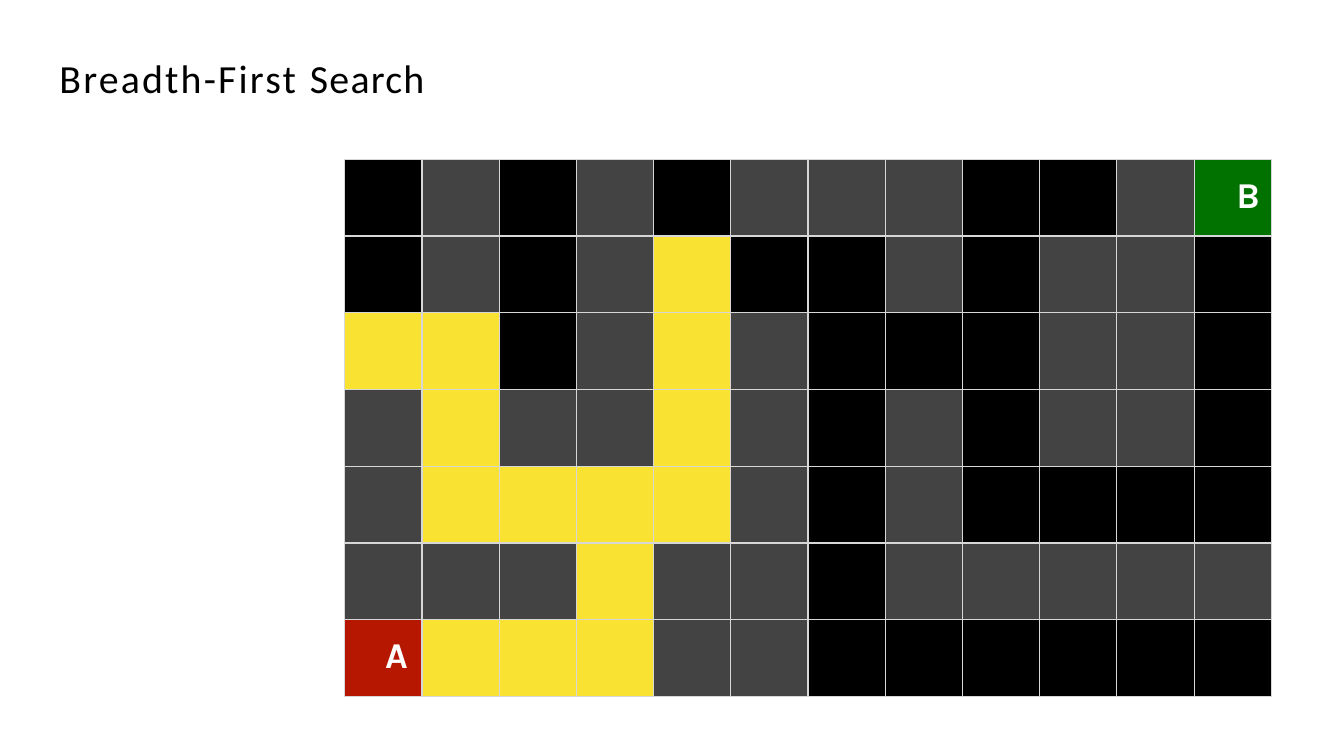
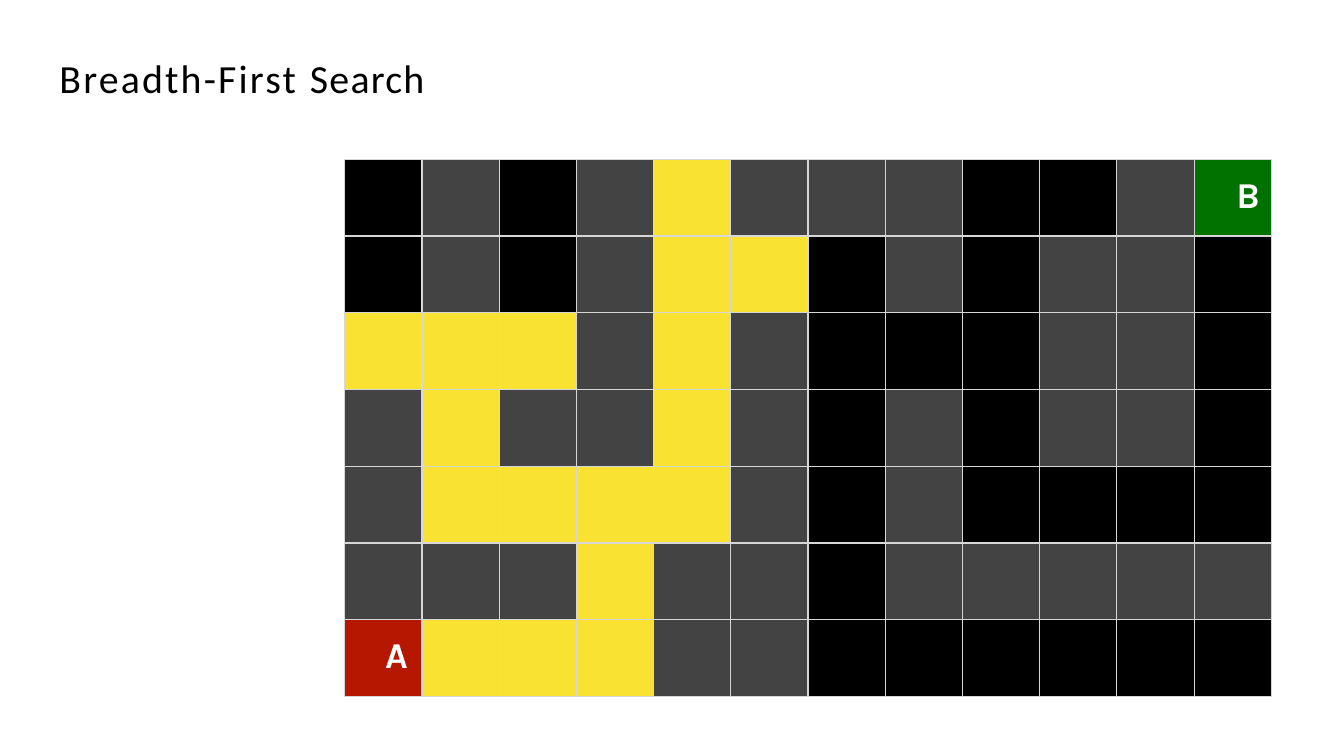
from collections import deque
from dataclasses import dataclass
from typing import Iterator

from pptx import Presentation
from pptx.dml.color import RGBColor
from pptx.enum.text import MSO_ANCHOR, MSO_AUTO_SIZE, PP_ALIGN
from pptx.oxml import parse_xml
from pptx.oxml.ns import nsdecls
from pptx.util import Inches, Pt

BLACK = RGBColor(0x00, 0x00, 0x00)
WHITE = RGBColor(0xFF, 0xFF, 0xFF)
WALL = RGBColor(0x43, 0x43, 0x43)
EXPLORED = RGBColor(0xFA, 0xE2, 0x32)
START = RGBColor(0xB5, 0x17, 0x00)
GOAL = RGBColor(0x01, 0x71, 0x00)
GRID_LINE = RGBColor(0xD6, 0xD7, 0xD6)

# '#' is a wall, '.' is an open square
MAZE = [
    ".#.#.###..#B",
    ".#.#...#.##.",
    "...#.#...##.",
    "#.##.#.#.##.",
    "#....#.#....",
    "###.##.#####",
    "A...##......",
]
TITLE_RUNS = [("Breadth-First ", 160), ("Search", 90)]
EXPLORED_COUNTS = [15, 18]

Square = tuple[int, int]


@dataclass(frozen=True)
class Endpoint:
    fill: RGBColor
    indent: float
    top: float


ENDPOINTS = {"A": Endpoint(START, 0.4, 0.15), "B": Endpoint(GOAL, 0.42, 0.16)}


def neighbours(square: Square) -> Iterator[Square]:
    """Yield the open squares to the left, right, above and below."""
    row, col = square
    for r, c in ((row, col - 1), (row, col + 1), (row - 1, col), (row + 1, col)):
        if 0 <= r < len(MAZE) and 0 <= c < len(MAZE[0]) and MAZE[r][c] != "#":
            yield r, c


def breadth_first(start: Square) -> list[Square]:
    """List the squares in the order in which the search reaches them."""
    order, queue = [start], deque([start])
    while queue:
        for square in neighbours(queue.popleft()):
            if square not in order:
                order.append(square)
                queue.append(square)
    return order


def add_title(slide) -> None:
    sp = slide.shapes.title
    sp.left, sp.top = Inches(0.58), Inches(0.52)
    sp.width, sp.height = Inches(4.05), Inches(0.49)
    tf = sp.text_frame
    tf.word_wrap = True
    tf.auto_size = MSO_AUTO_SIZE.SHAPE_TO_FIT_TEXT
    tf.vertical_anchor = MSO_ANCHOR.MIDDLE
    tf.margin_left = tf.margin_top = Inches(0.01)
    tf.margin_right = tf.margin_bottom = 0
    p = tf.paragraphs[0]
    p.alignment = PP_ALIGN.LEFT
    for text, spacing in TITLE_RUNS:
        r = p.add_run()
        r.text = text
        r.font.name, r.font.size = "Calibri", Pt(28.5)
        r.font.color.rgb = BLACK
        r.font._element.set("spc", str(spacing))


def add_borders(cell) -> None:
    tc_pr = cell._tc.get_or_add_tcPr()
    for side in "LRTB":
        tc_pr.append(parse_xml(
            f'<a:ln{side} {nsdecls("a")} w="{Pt(1)}"><a:solidFill>'
            f'<a:srgbClr val="{GRID_LINE}"/></a:solidFill></a:ln{side}>'))


def label_endpoint(cell, mark: str) -> None:
    cell.margin_left = Inches(ENDPOINTS[mark].indent)
    cell.margin_top = Inches(ENDPOINTS[mark].top)
    cell.margin_right = cell.margin_bottom = 0
    p = cell.text_frame.paragraphs[0]
    p.text = mark
    font = p.runs[0].font
    font.name, font.size, font.bold = "Karla", Pt(26), True
    font.color.rgb = WHITE


def square_fill(mark: str, explored: bool) -> RGBColor:
    if mark in ENDPOINTS:
        return ENDPOINTS[mark].fill
    if mark == "#":
        return WALL
    return EXPLORED if explored else BLACK


def add_maze(slide, explored: set[Square]) -> None:
    table = slide.shapes.add_table(
        len(MAZE), len(MAZE[0]),
        Inches(3.42), Inches(1.58), Inches(9.19), Inches(5.33)).table
    table.first_row = table.horz_banding = False
    for row, line in enumerate(MAZE):
        for col, mark in enumerate(line):
            cell = table.cell(row, col)
            add_borders(cell)
            cell.fill.solid()
            cell.fill.fore_color.rgb = square_fill(mark, (row, col) in explored)
            if mark in ENDPOINTS:
                label_endpoint(cell, mark)


def main() -> None:
    prs = Presentation()
    prs.slide_width, prs.slide_height = Inches(13.33), Inches(7.5)
    order = breadth_first((len(MAZE) - 1, 0))
    for count in EXPLORED_COUNTS:
        slide = prs.slides.add_slide(prs.slide_layouts[5])
        add_maze(slide, set(order[:count]))
        add_title(slide)
    prs.save("out.pptx")


if __name__ == "__main__":
    main()
